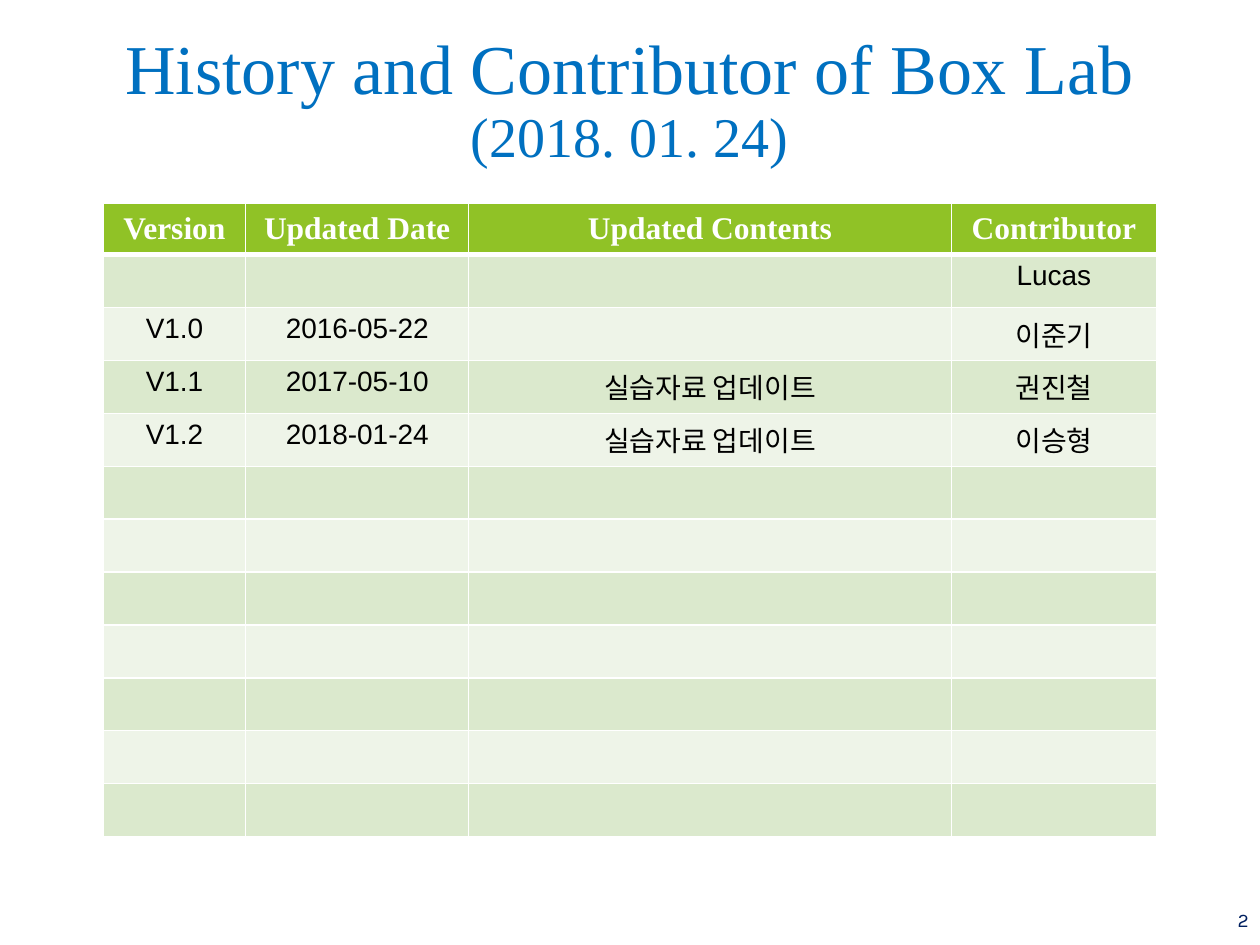
from lxml import etree
from pptx import Presentation
from pptx.dml.color import RGBColor
from pptx.enum.text import MSO_ANCHOR, PP_ALIGN
from pptx.oxml.ns import qn
from pptx.util import Inches, Pt

CENTER, RIGHT = PP_ALIGN.CENTER, PP_ALIGN.RIGHT
TOP, MIDDLE = MSO_ANCHOR.TOP, MSO_ANCHOR.MIDDLE
COLORS = {"title": "0070C0", "header": "90C226", "odd": "DBE9CD", "even": "EEF4E8",
          "white": "FFFFFF", "black": "000000", "number": "002060"}


def style(paragraph, size, font, color, align=CENTER, bold=False):
    paragraph.alignment = align
    for run in paragraph.runs:
        run.font.size = Pt(size)
        run.font.name = font
        run.font.bold = bold
        run.font.color.rgb = RGBColor.from_string(COLORS[color])


def set_borders(cell, top, bottom):
    """Draw white cell borders, 1 pt at the sides; call before filling the cell."""
    properties = cell._tc.get_or_add_tcPr()
    for side, width in (("L", 1), ("R", 1), ("T", top), ("B", bottom)):
        line = etree.SubElement(properties, qn(f"a:ln{side}"), w=str(Pt(width)))
        fill = etree.SubElement(line, qn("a:solidFill"))
        etree.SubElement(fill, qn("a:srgbClr"), val=COLORS["white"])


prs = Presentation()
prs.slide_width, prs.slide_height = Inches(10), Inches(7.5)
slide = prs.slides.add_slide(prs.slide_layouts[5])

title = slide.shapes.title
title.left, title.top = Inches(0.44), Inches(0.35)
title.width, title.height = Inches(9.11), Inches(0.92)
heading = title.text_frame
heading.text = "History and Contributor of Box Lab\n(2018. 01. 24)"
heading.vertical_anchor = MIDDLE
for line, size in zip(heading.paragraphs, (40, 32)):
    line.line_spacing = 0.9
    line.space_before = Pt(0)
    style(line, size, "Times New Roman", "title")

history = [
    ("Version", "Updated Date", "Updated Contents", "Contributor"),
    ("", "", "", "Lucas"),
    ("V1.0", "2016-05-22", "", "이준기"),
    ("V1.1", "2017-05-10", "실습자료 업데이트", "권진철"),
    ("V1.2", "2018-01-24", "실습자료 업데이트", "이승형"),
]
EMPTY_ROWS = 7
history += [("",) * 4] * EMPTY_ROWS
column_widths = (1.13, 1.77, 3.83, 1.63)
HEADER_HEIGHT, ROW_HEIGHT = 0.41, 0.42

table = slide.shapes.add_table(
    len(history), len(column_widths), Inches(0.82), Inches(1.61), Inches(sum(column_widths)),
    Inches(HEADER_HEIGHT + ROW_HEIGHT * (len(history) - 1))).table
for column, width in zip(table.columns, column_widths):
    column.width = Inches(width)

for r, entries in enumerate(history):
    is_header = r == 0
    table.rows[r].height = Inches(HEADER_HEIGHT if is_header else ROW_HEIGHT)
    band = "header" if is_header else "odd" if r % 2 else "even"
    for c, entry in enumerate(entries):
        cell = table.cell(r, c)
        set_borders(cell, top=3 if r == 1 else 1, bottom=3 if is_header else 1)
        cell.fill.solid()
        cell.fill.fore_color.rgb = RGBColor.from_string(COLORS[band])
        cell.vertical_anchor = MIDDLE if is_header else TOP
        cell.text_frame.text = entry
        if is_header:
            style(cell.text_frame.paragraphs[0], 18, "Times New Roman", "white", bold=True)
        else:
            style(cell.text_frame.paragraphs[0], 16, "Arial", "black")

page_number = slide.shapes.add_textbox(
    Inches(9.45), Inches(7.1), Inches(0.56), Inches(0.4)).text_frame
page_number.word_wrap = True
page_number.vertical_anchor = MIDDLE
page_number.text = "2"
style(page_number.paragraphs[0], 11, "Karla", "number", align=RIGHT)

prs.save("out.pptx")
